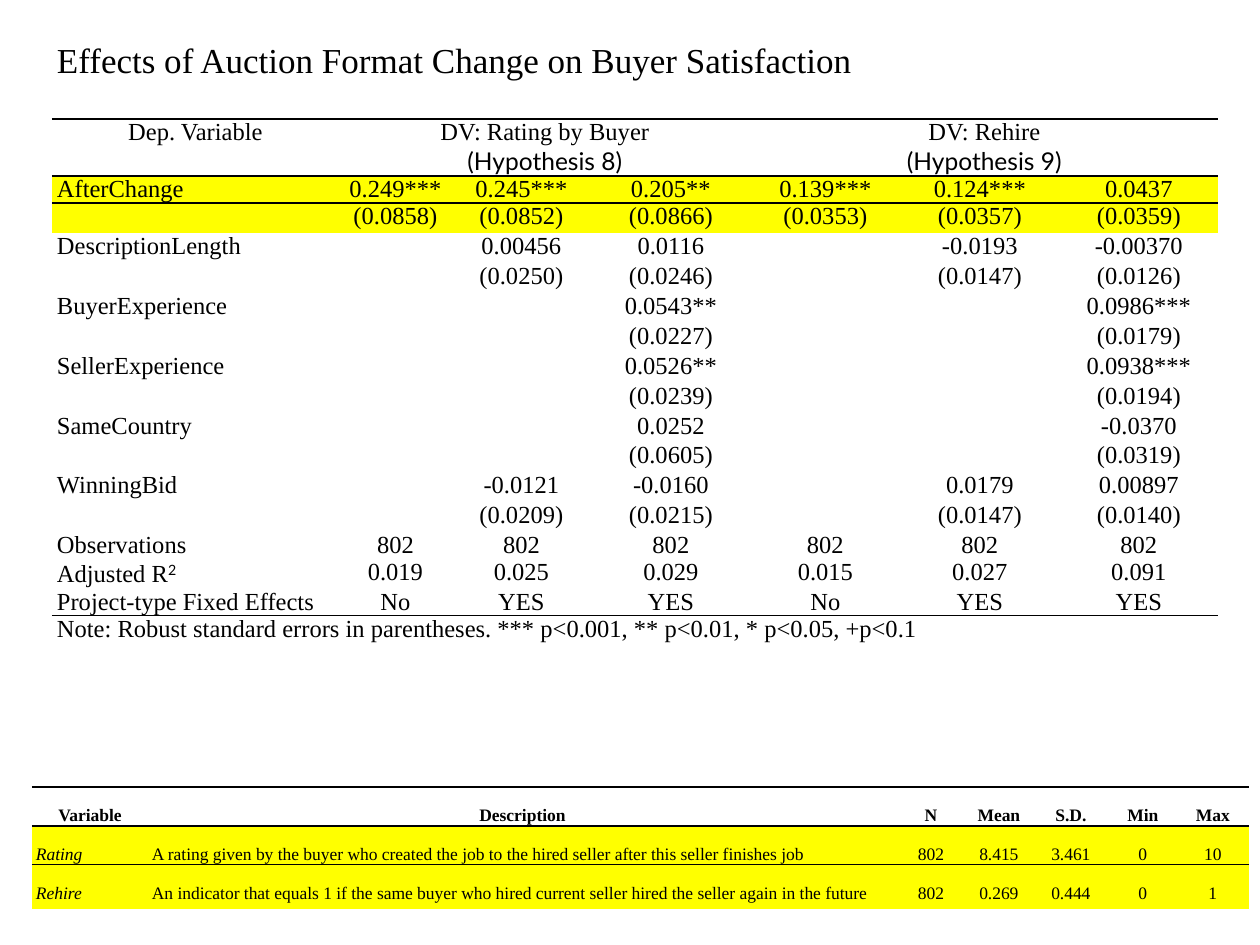
from dataclasses import dataclass

from lxml import etree
from pptx import Presentation
from pptx.dml.color import RGBColor
from pptx.enum.text import PP_ALIGN
from pptx.oxml.ns import qn
from pptx.util import Pt

LEFT, MID, JUST = PP_ALIGN.LEFT, PP_ALIGN.CENTER, PP_ALIGN.JUSTIFY
PX = 914400 / 126
PLAIN = "{2D5ABB26-0587-4C30-8999-92F81FD0307C}"


@dataclass(frozen=True)
class Theme:
    ink: str = "000000"
    mark: str = "FFFF00"
    serif: str = "Times New Roman"
    sans: str = "Lato"
    title: int = 20
    body: int = 14
    small: int = 10
    line: int = 1


THEME = Theme()

MODEL_COLS = [287, 113, 139, 160, 149, 160, 158]
MODEL_ROWS = [77, 57] + [27] * 13 + [29, 27, 30]
TITLE = "Effects of Auction Format Change on Buyer Satisfaction"
HEADS = {
    0: "Dep. Variable",
    1: "DV: Rating by Buyer\n(Hypothesis 8)",
    4: "DV: Rehire\n(Hypothesis 9)",
}
MODELS = """\
AfterChange|0.249***|0.245***|0.205**|0.139***|0.124***|0.0437
|(0.0858)|(0.0852)|(0.0866)|(0.0353)|(0.0357)|(0.0359)
DescriptionLength||0.00456|0.0116||-0.0193|-0.00370
||(0.0250)|(0.0246)||(0.0147)|(0.0126)
BuyerExperience|||0.0543**|||0.0986***
|||(0.0227)|||(0.0179)
SellerExperience|||0.0526**|||0.0938***
|||(0.0239)|||(0.0194)
SameCountry|||0.0252|||-0.0370
|||(0.0605)|||(0.0319)
WinningBid||-0.0121|-0.0160||0.0179|0.00897
||(0.0209)|(0.0215)||(0.0147)|(0.0140)
Observations|802|802|802|802|802|802
Adjusted R|0.019|0.025|0.029|0.015|0.027|0.091
Project-type Fixed Effects|No|YES|YES|No|YES|YES"""
NOTE = ("Note: Robust standard errors in parentheses. "
        "*** p<0.001, ** p<0.01, * p<0.05, +p<0.1")

STAT_COLS = [116, 749, 68, 68, 76, 68, 72]
STAT_ROWS = [39, 38, 44]
STATS = """\
Variable|Description|N|Mean|S.D.|Min|Max
Rating|A rating given by the buyer who created the job to the hired seller \
after this seller finishes job|802|8.415|3.461|0|10
Rehire|An indicator that equals 1 if the same buyer who hired current seller \
hired the seller again in the future|802|0.269|0.444|0|1"""


def px(num):
    return round(num * PX)


def split(text):
    return [line.split("|") for line in text.splitlines()]


def style(font, **form):
    form = {"name": THEME.serif, "size": Pt(THEME.body), **form}
    for key, val in form.items():
        setattr(font, key, val)
    font.color.rgb = RGBColor.from_string(THEME.ink)


def write(cell, text, align=LEFT, space=None, **form):
    """Fill a cell, one paragraph per line; an empty one keeps the type size."""
    for num, line in enumerate(text.split("\n")):
        frame = cell.text_frame
        para = frame.add_paragraph() if num else frame.paragraphs[0]
        para.alignment = align
        if space:
            para.line_spacing = space
        if line:
            run = para.add_run()
            run.text = line
            style(run.font, **form)
        else:
            size = form.get("size", Pt(THEME.body))
            end = etree.SubElement(para._p, qn("a:endParaRPr"))
            end.set("sz", str(int(size.pt * 100)))


def rule(table, row, sides):
    """Draw black lines on the given sides (T, B) of each cell in a row."""
    for cell in table.rows[row].cells:
        props = cell._tc.get_or_add_tcPr()
        for side in sorted(sides):
            line = etree.Element(qn(f"a:ln{side}"), w=str(Pt(THEME.line)))
            fill = etree.SubElement(line, qn("a:solidFill"))
            etree.SubElement(fill, qn("a:srgbClr"), val=THEME.ink)
            props.insert(0, line)


def shade(table, row):
    for cell in table.rows[row].cells:
        cell.fill.solid()
        cell.fill.fore_color.rgb = RGBColor.from_string(THEME.mark)


def grid(slide, left, top, cols, rows, pad):
    """Add a bare table with the given column widths and row heights."""
    frame = slide.shapes.add_table(len(rows), len(cols), px(left), px(top),
                                   px(sum(cols)), px(sum(rows)))
    table = frame.table
    table.first_row = table.horz_banding = False
    table._tbl.tblPr.find(qn("a:tableStyleId")).text = PLAIN
    for col, width in zip(table.columns, cols):
        col.width = px(width)
    for row, high in zip(table.rows, rows):
        row.height = px(high)
    for cell in table.iter_cells():
        cell.fill.background()
        cell.margin_left = cell.margin_right = px(pad)
        cell.margin_top = cell.margin_bottom = 0
    return table


def add_models(slide):
    table = grid(slide, 52, 42, MODEL_COLS, MODEL_ROWS, 5)
    last = len(MODEL_ROWS) - 1
    for row, start, end in ((0, 0, 6), (1, 1, 3), (1, 4, 6), (last, 0, 6)):
        table.cell(row, start).merge(table.cell(row, end))

    write(table.cell(0, 0), TITLE, size=Pt(THEME.title))
    for col, text in HEADS.items():
        cell = table.cell(1, col)
        write(cell, text, MID)
        for para in cell.text_frame.paragraphs[1:]:
            para.runs[0].font.name = THEME.sans
    for row, vals in enumerate(split(MODELS), 2):
        for col, text in enumerate(vals):
            write(table.cell(row, col), text, MID if col else LEFT)
    power = table.cell(last - 2, 0).text_frame.paragraphs[0].add_run()
    power.text = "2"
    style(power.font, name=THEME.sans)
    power.font._element.set("baseline", "30000")
    write(table.cell(last, 0), NOTE, JUST)

    for row in (2, 3):
        shade(table, row)
    for row, sides in ((0, "B"), (1, "BT"), (2, "T"),
                       (last - 1, "B"), (last, "T")):
        rule(table, row, sides)


def add_stats(slide):
    table = grid(slide, 32, 787, STAT_COLS, STAT_ROWS, 4)
    for row, vals in enumerate(split(STATS)):
        for col, text in enumerate(vals):
            align = LEFT if row and col < 2 else MID
            write(table.cell(row, col), text, align, 2.0,
                  size=Pt(THEME.small), bold=row == 0,
                  italic=row > 0 and col == 0)
        if row:
            shade(table, row)
    rule(table, 0, "BT")
    rule(table, 1, "T")


def main():
    deck = Presentation()
    deck.slide_width, deck.slide_height = px(1260), px(945)
    slide = deck.slides.add_slide(deck.slide_layouts[6])
    add_models(slide)
    add_stats(slide)
    deck.save("out.pptx")


if __name__ == "__main__":
    main()
